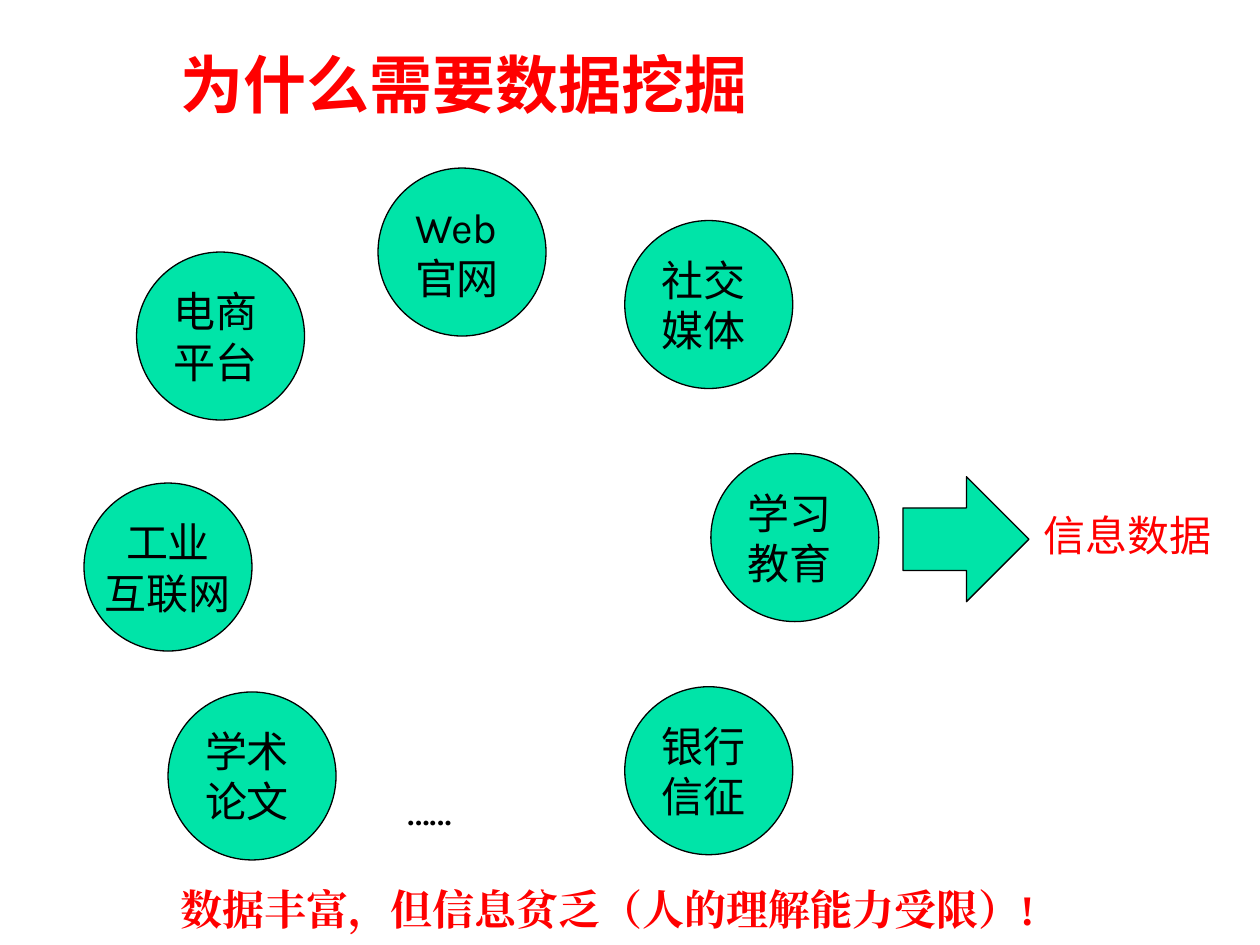
"""Build a slide on why data mining is needed: a ring of data sources and a conclusion."""
from dataclasses import dataclass

from lxml import etree
from pptx import Presentation
from pptx import util as u
from pptx.dml.color import RGBColor
from pptx.enum import lang, shapes, text
from pptx.oxml.ns import qn

BLACK = RGBColor(0x00, 0x00, 0x00)
RED = RGBColor(0xFF, 0x00, 0x00)
GREEN = RGBColor(0x00, 0xE4, 0xA8)
CELL = u.Inches(1) / 12
DIAMETER = 16
LEFT = text.PP_ALIGN.LEFT
CENTER = text.PP_ALIGN.CENTER
JUSTIFY = text.PP_ALIGN.JUSTIFY


@dataclass(frozen=True)
class Area:
    """A rectangle in cells of a grid of 120 columns and 90 rows."""
    column: float
    row: float
    columns: float
    rows: float

    def lengths(self) -> list[int]:
        return [round(cells * CELL) for cells in (self.column, self.row, self.columns, self.rows)]


@dataclass(frozen=True)
class Style:
    size: int = 24
    font: str = "Karla"
    color: RGBColor = BLACK
    bold: bool = False


@dataclass(frozen=True)
class Source:
    column: float
    row: float
    lines: tuple[str, str]
    align: text.PP_ALIGN = LEFT


SOURCES = (
    Source(16, 65.9, ("学术", "论文")),
    Source(13, 24, ("电商", "平台")),
    Source(36, 16, ("Web", "官网")),
    Source(59.5, 21, ("社交", "媒体")),
    Source(8, 46, ("工业", "互联网"), CENTER),
    Source(59.5, 65.4, ("银行", "信征")),
    Source(67.7, 43.2, ("学习", "教育")),
)


def write(para, words: str, style: Style, align: text.PP_ALIGN = LEFT) -> None:
    para.alignment = align
    span = para.add_run()
    span.text = words
    font = span.font
    font.size, font.name, font.bold = u.Pt(style.size), style.font, style.bold
    font.color.rgb = style.color
    font.language_id = lang.MSO_LANGUAGE_ID.SIMPLIFIED_CHINESE
    latin = font._element.find(qn("a:latin"))
    east_asian = etree.Element(qn("a:ea"), typeface=style.font)
    latin.addnext(east_asian)


def add_figure(page, kind: shapes.MSO_SHAPE, area: Area):
    figure = page.shapes.add_shape(kind, *area.lengths())
    figure.shadow.inherit = False
    figure.fill.solid()
    figure.fill.fore_color.rgb = GREEN
    figure.line.color.rgb = BLACK
    figure.line.width = u.Pt(0.75)
    return figure


def add_source(page, source: Source) -> None:
    area = Area(source.column, source.row, DIAMETER, DIAMETER)
    frame = add_figure(page, shapes.MSO_SHAPE.OVAL, area).text_frame
    frame.word_wrap = False
    frame.vertical_anchor = text.MSO_ANCHOR.MIDDLE
    for index, line in enumerate(source.lines):
        para = frame.add_paragraph() if index else frame.paragraphs[0]
        write(para, line, Style(), source.align)


def fill_box(box, area: Area, words: str, style: Style, align: text.PP_ALIGN = LEFT):
    box.left, box.top, box.width, box.height = area.lengths()
    frame = box.text_frame
    frame.word_wrap = True
    frame.auto_size = text.MSO_AUTO_SIZE.NONE
    frame.vertical_anchor = text.MSO_ANCHOR.TOP
    para = frame.paragraphs[0]
    write(para, words, style, align)
    return para


def add_label(page, area: Area, words: str, style: Style, align: text.PP_ALIGN = LEFT):
    return fill_box(page.shapes.add_textbox(*area.lengths()), area, words, style, align)


def main() -> None:
    deck = Presentation()
    deck.slide_width, deck.slide_height = u.Inches(10), u.Inches(7.5)
    page = deck.slides.add_slide(deck.slide_layouts[5])

    heading = Style(36, "Noto Sans CJK SC", RED, True)
    title = fill_box(page.shapes.title, Area(16, 3.7, 71, 8.4), "为什么需要数据挖掘", heading)
    title.space_after = u.Pt(18)

    for source in SOURCES:
        add_source(page, source)
    add_label(page, Area(37.6, 74, 13, 6), "……", Style())

    add_figure(page, shapes.MSO_SHAPE.RIGHT_ARROW, Area(86, 45.4, 12, 11.9))
    add_label(page, Area(98.2, 47.9, 20, 6), "信息数据", Style(color=RED))

    conclusion = add_label(
        page, Area(16, 82.4, 90, 7.2), "数据丰富，但信息贫乏（人的理解能力受限）!",
        Style(24, "Times New Roman", RED, True), JUSTIFY)
    conclusion.line_spacing = 1.25
    conclusion.space_before = u.Pt(6)

    deck.save("out.pptx")


if __name__ == "__main__":
    main()
